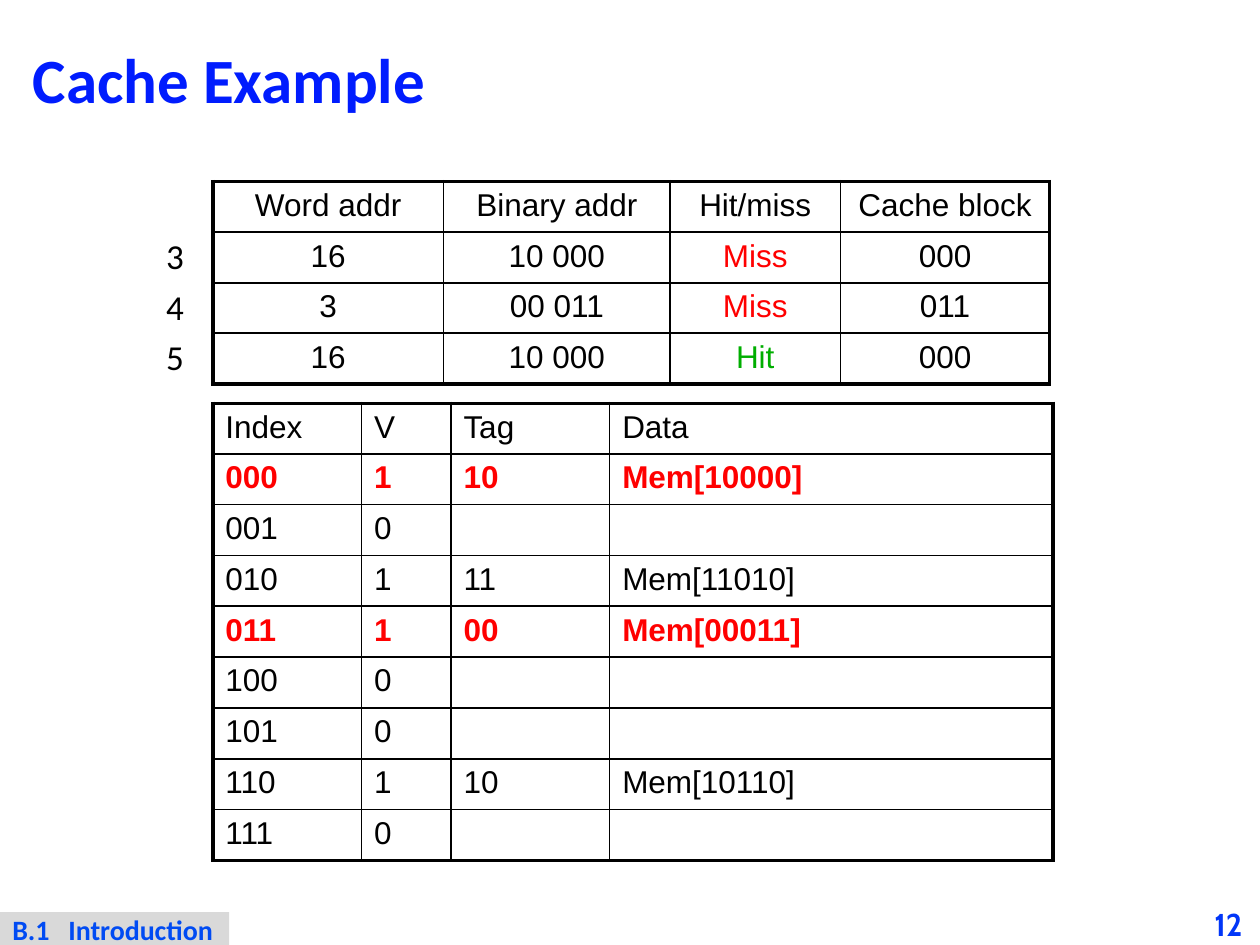
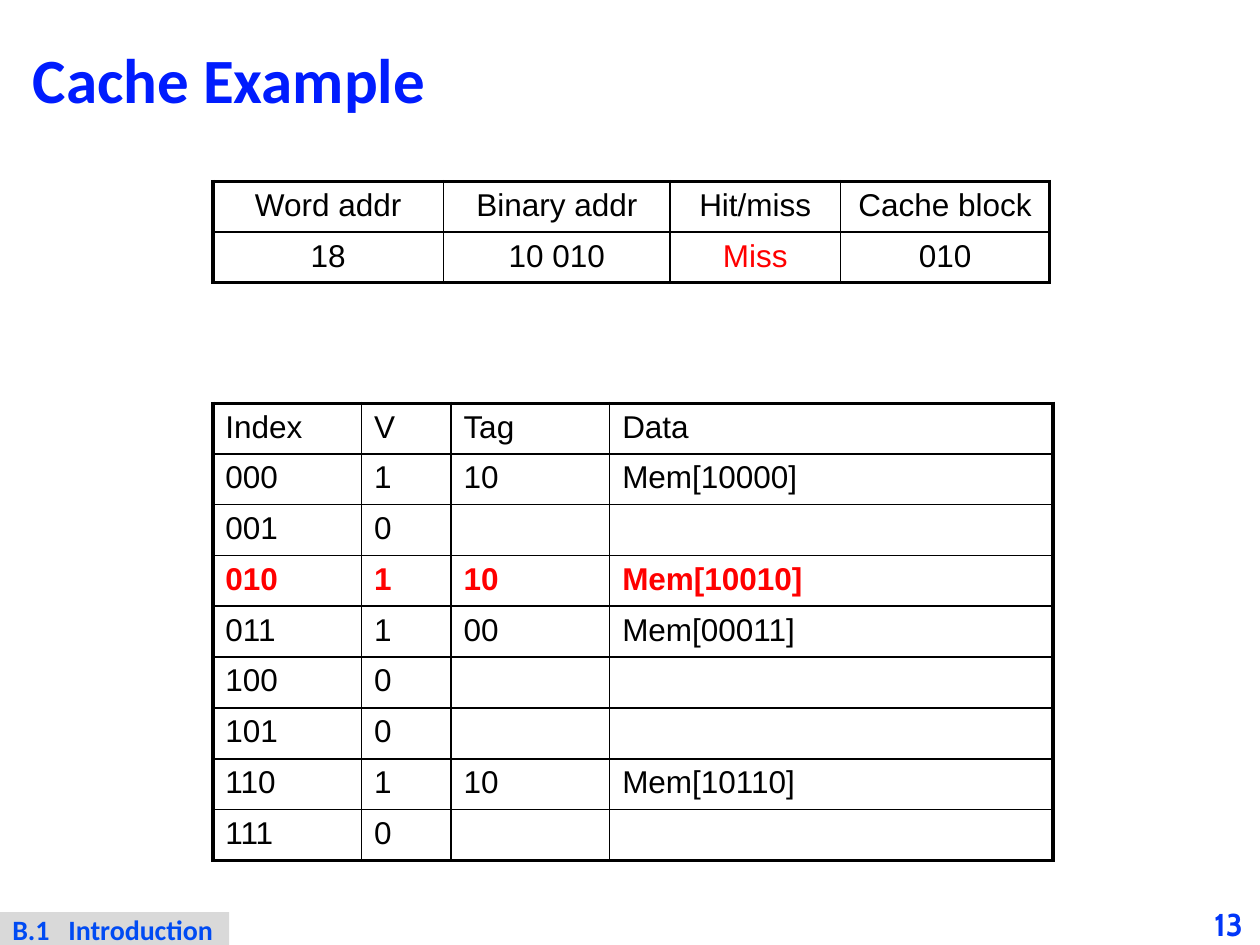
from dataclasses import dataclass

from lxml import etree
from pptx import Presentation
from pptx import util as u
from pptx.dml import color
from pptx.enum import shapes, text
from pptx.oxml import ns

BLACK, WHITE, GREY = "000000", "FFFFFF", "D9D9D9"
RED, GREEN = "FF0000", "00AE00"
TITLE, PAGE, FOOT = "001CFE", "0136F8", "004BF3"
THICK, MID, THIN = 2.25, 1.5, 1.0
ROW, LEFT = 1.02, 4.29


@dataclass
class Font:
    name: str
    size: float
    hue: str = BLACK
    bold: bool = False


@dataclass
class Cell:
    words: str
    hue: str = BLACK
    bold: bool = False


@dataclass
class Grid:
    top: float
    cols: list[float]
    rule: float
    align: text.PP_ALIGN


@dataclass
class Access:
    word: int
    hit: bool = False


@dataclass
class Page:
    num: int
    calls: list[Access]
    tags: dict[str, str]
    fresh: set[str]
    steps: list[int]


CACHE = Grid(8.13, [3.0, 1.8, 3.2, 8.94], THIN, text.PP_ALIGN.LEFT)
CALLS = Grid(3.66, [4.65, 4.57, 3.43, 4.22], MID, text.PP_ALIGN.CENTER)

PAGES = [
    Page(12, [Access(16), Access(3), Access(16, True)],
         {"000": "10", "010": "11", "011": "00", "110": "10"},
         {"000", "011"}, [3, 4, 5]),
    Page(13, [Access(18)],
         {"000": "10", "010": "10", "011": "00", "110": "10"},
         {"010"}, []),
]


def rgb(hue: str) -> color.RGBColor:
    return color.RGBColor.from_string(hue)


def box(*cm: float) -> list[u.Cm]:
    return [u.Cm(n) for n in cm]


def style(para, font: Font) -> None:
    for run in para.runs:
        run.font.name, run.font.size = font.name, u.Pt(font.size)
        run.font.bold = font.bold
        run.font.color.rgb = rgb(font.hue)


def write(frame, words: str, font: Font, inset: tuple[float, float],
          align=text.PP_ALIGN.LEFT, anchor=text.MSO_ANCHOR.TOP) -> None:
    """Fill a frame with one styled line; inset is side and end margin."""
    side, end = box(*inset)
    frame.margin_left = frame.margin_right = side
    frame.margin_top = frame.margin_bottom = end
    frame.vertical_anchor = anchor
    frame.auto_size = text.MSO_AUTO_SIZE.NONE
    frame.word_wrap = True
    frame.text = words
    frame.paragraphs[0].alignment = align
    style(frame.paragraphs[0], font)


def edge(cell, side: str, width: float) -> None:
    line = etree.SubElement(cell._tc.get_or_add_tcPr(),
                            ns.qn(f"a:ln{side}"), w=str(u.Pt(width)))
    fill = etree.SubElement(line, ns.qn("a:solidFill"))
    etree.SubElement(fill, ns.qn("a:srgbClr"), val=BLACK)


def table(slide, grid: Grid, rows: list[list[Cell]]) -> None:
    high, wide = len(rows), len(grid.cols)
    area = box(LEFT, grid.top, sum(grid.cols), ROW * high)
    tab = slide.shapes.add_table(high, wide, *area).table
    tab.first_row = tab.horz_banding = False
    for col, width in zip(tab.columns, grid.cols):
        col.width = u.Cm(width)
    across = [THICK, MID] + [grid.rule] * (high - 2) + [THICK]
    down = [THICK] + [THIN] * (wide - 1) + [THICK]
    for r, row in enumerate(rows):
        tab.rows[r].height = u.Cm(ROW)
        for c, item in enumerate(row):
            cell = tab.cell(r, c)
            edge(cell, "L", down[c])
            edge(cell, "R", down[c + 1])
            edge(cell, "T", across[r])
            edge(cell, "B", across[r + 1])
            cell.fill.background()
            para = cell.text_frame.paragraphs[0]
            para.text, para.alignment = item.words, grid.align
            para.font.size = u.Pt(18)
            style(para, Font("Arial", 18, item.hue, item.bold))


def head(*words: str) -> list[Cell]:
    return [Cell(word) for word in words]


def lines(page: Page) -> list[list[Cell]]:
    """Rows of the cache; a valid block holds the word at tag + index."""
    rows = [head("Index", "V", "Tag", "Data")]
    for n in range(8):
        index = f"{n:03b}"
        tag = page.tags.get(index, "")
        new = index in page.fresh
        data = f"Mem[{tag}{index}]" if tag else ""
        rows.append([Cell(word, RED if new else BLACK, new)
                     for word in (index, "1" if tag else "0", tag, data)])
    return rows


def calls(page: Page) -> list[list[Cell]]:
    """Rows of accesses, each address split into tag and block."""
    rows = [head("Word addr", "Binary addr", "Hit/miss", "Cache block")]
    for call in page.calls:
        bits = f"{call.word:05b}"
        mark = Cell("Hit", GREEN) if call.hit else Cell("Miss", RED)
        rows.append([Cell(str(call.word)), Cell(f"{bits[:2]} {bits[2:]}"),
                     mark, Cell(bits[2:])])
    return rows


def title(slide, words: str) -> None:
    shape = slide.shapes.title
    shape.left, shape.top, shape.width, shape.height = box(.41, .41, 24.59, 2.57)
    shape.fill.solid()
    shape.fill.fore_color.rgb = rgb(WHITE)
    write(shape.text_frame, words, Font("Calibri", 36, TITLE, True),
          (.25, .13), anchor=text.MSO_ANCHOR.MIDDLE)
    shape.text_frame.paragraphs[0].line_spacing = .87


def footer(slide, num: int) -> None:
    page = slide.shapes.add_textbox(*box(24.13, 18.21, 1.27, .84))
    write(page.text_frame, str(num), Font("Cabin", 18, PAGE, True), (0, 0),
          text.PP_ALIGN.CENTER, text.MSO_ANCHOR.MIDDLE)
    band = slide.shapes.add_shape(shapes.MSO_SHAPE.RECTANGLE,
                                  *box(0, 18.39, 4.62, .68))
    band.shadow.inherit = False
    band.fill.solid()
    band.fill.fore_color.rgb = rgb(GREY)
    band.line.fill.background()
    frame = band.text_frame
    write(frame, "B.1\tIntroduction", Font("Calibri", 16, FOOT, True), (.25, 0))
    frame.margin_right = 0
    stops = etree.SubElement(frame.paragraphs[0]._p.get_or_add_pPr(),
                             ns.qn("a:tabLst"))
    etree.SubElement(stops, ns.qn("a:tab"), pos=str(u.Cm(1.13)), algn="l")


def main() -> None:
    deck = Presentation()
    deck.slide_width, deck.slide_height = box(25.4, 19.05)
    for page in PAGES:
        slide = deck.slides.add_slide(deck.slide_layouts[5])
        title(slide, "Cache Example")
        table(slide, CACHE, lines(page))
        table(slide, CALLS, calls(page))
        footer(slide, page.num)
        for n, step in enumerate(page.steps):
            note = slide.shapes.add_textbox(*box(3.1, 4.6 + n * ROW, .86, 1.12))
            write(note.text_frame, str(step), Font("Calibri", 20), (.25, .13))
    deck.save("out.pptx")


if __name__ == "__main__":
    main()
